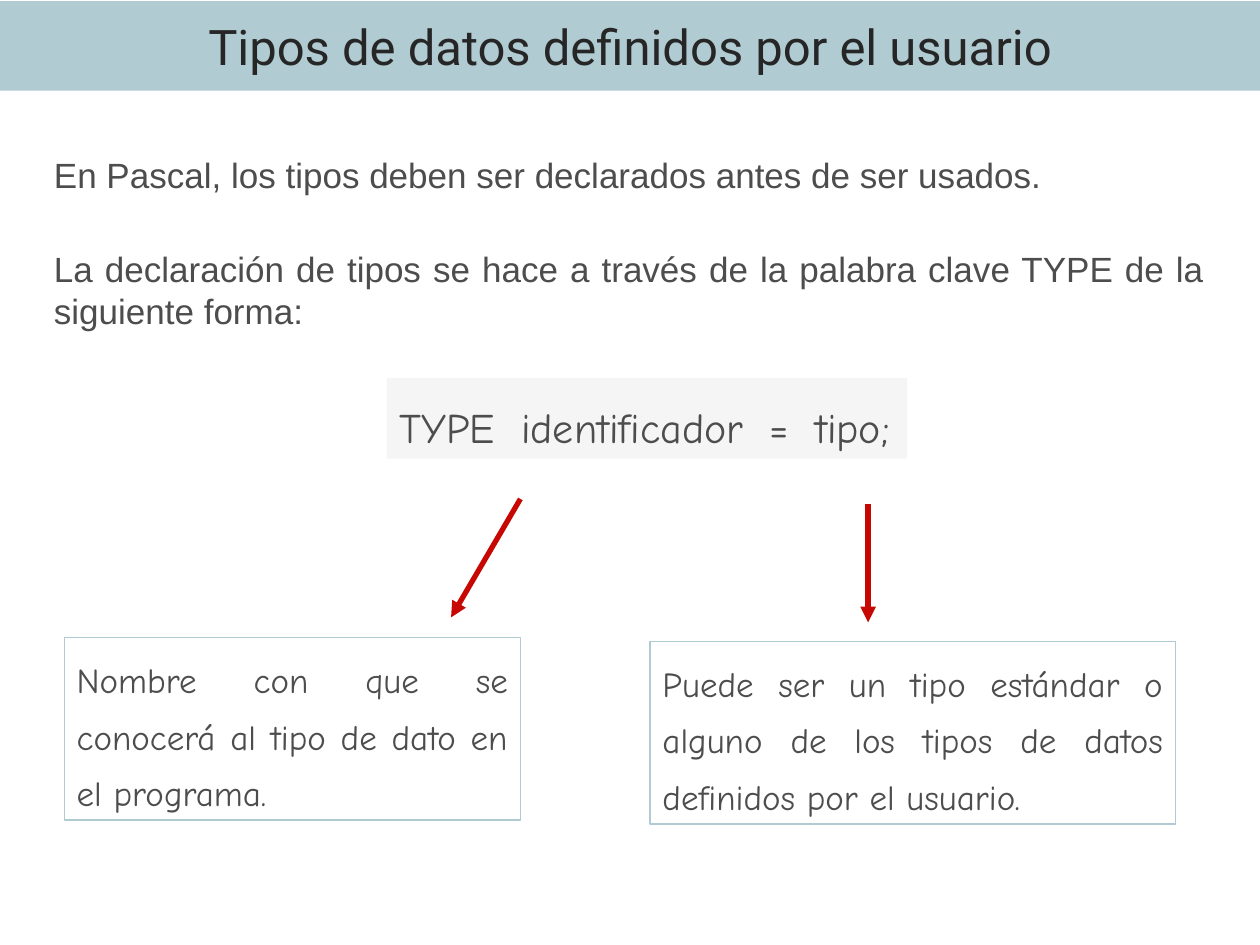
import pptx
import pptx.util
from pptx.dml.color import RGBColor
from pptx.enum.shapes import MSO_CONNECTOR, MSO_SHAPE
from pptx.enum.text import MSO_ANCHOR, MSO_AUTO_SIZE, PP_ALIGN
from pptx.oxml.ns import qn
from lxml import etree

WIDTH = pptx.util.Inches(10)
HEIGHT = pptx.util.Inches(7.5)

TEAL = RGBColor(0xB0, 0xCB, 0xD1)
PALE_GREY = RGBColor(0xF5, 0xF5, 0xF5)
WHITE = RGBColor(0xFF, 0xFF, 0xFF)
RED = RGBColor(0xC6, 0x07, 0x02)
BODY_GREY = RGBColor(0x4D, 0x4D, 0x4D)
TITLE_GREY = RGBColor(0x26, 0x26, 0x26)


def across(percent):
    return round(WIDTH * percent / 100)


def down(percent):
    return round(HEIGHT * percent / 100)


def place(left, top, width, height):
    """Turn percentages of the slide into a position and a size."""
    return across(left), down(top), across(width), down(height)


def add_span(para, text, font, size, color):
    span = para.add_run()
    span.text = text
    span.font.name = font
    span.font.size = pptx.util.Pt(size)
    span.font.color.rgb = color
    return span


def format_para(para, align, line_spacing=1.0, space_before=0):
    para.alignment = align
    para.line_spacing = line_spacing
    para.space_before = pptx.util.Pt(space_before)


def add_box(page, area, fill, border=None):
    box = page.shapes.add_shape(MSO_SHAPE.RECTANGLE, *place(*area))
    box.shadow.inherit = False
    box.fill.solid()
    box.fill.fore_color.rgb = fill
    if border is None:
        box.line.fill.background()
    else:
        box.line.color.rgb = border
        box.line.width = pptx.util.Pt(0.75)
    box.text_frame.word_wrap = True
    box.text_frame.vertical_anchor = MSO_ANCHOR.TOP
    return box


def add_title(page, text):
    frame = add_box(page, (0, 0.13, 100, 9.47), TEAL).text_frame
    frame.vertical_anchor = MSO_ANCHOR.MIDDLE
    para = frame.paragraphs[0]
    format_para(para, PP_ALIGN.CENTER)
    add_span(para, text, "Roboto", 28, TITLE_GREY)


def add_introduction(page, first, second):
    box = page.shapes.add_textbox(*place(3.3, 16.4, 93.3, 23.07))
    frame = box.text_frame
    frame.word_wrap = True
    opening, following = frame.paragraphs[0], frame.add_paragraph()
    format_para(opening, PP_ALIGN.JUSTIFY, 0.8, 5)
    format_para(following, PP_ALIGN.JUSTIFY, 1.0, 30)
    add_span(opening, first, "Arial", 20, BODY_GREY)
    add_span(following, second, "Arial", 20, BODY_GREY)


def add_syntax(page, words):
    """Show the declaration with widened spaces between its words."""
    frame = add_box(page, (30.7, 40, 41.3, 8.53), PALE_GREY).text_frame
    frame.word_wrap = False
    frame.auto_size = MSO_AUTO_SIZE.SHAPE_TO_FIT_TEXT
    para = frame.paragraphs[0]
    format_para(para, PP_ALIGN.LEFT, 1.35, 6)
    for index, word in enumerate(words):
        if index:
            gap = add_span(para, " ", "Comic Neue", 24, BODY_GREY)
            gap.font._element.set("spc", "700")
        add_span(para, word, "Comic Neue", 24, BODY_GREY)


def add_explanation(page, area, text):
    frame = add_box(page, area, WHITE, TEAL).text_frame
    frame.auto_size = MSO_AUTO_SIZE.SHAPE_TO_FIT_TEXT
    para = frame.paragraphs[0]
    format_para(para, PP_ALIGN.JUSTIFY, 1.35, 5)
    add_span(para, text, "Comic Neue", 20, BODY_GREY)


def add_arrow(page, start, end):
    arrow = page.shapes.add_connector(
        MSO_CONNECTOR.STRAIGHT,
        across(start[0]), down(start[1]), across(end[0]), down(end[1]))
    arrow.line.color.rgb = RED
    arrow.line.width = pptx.util.Pt(3)
    etree.SubElement(arrow.line._get_or_add_ln(), qn("a:tailEnd"), type="triangle")
    etree.SubElement(arrow._element.spPr, qn("a:effectLst"))


def main():
    deck = pptx.Presentation()
    deck.slide_width, deck.slide_height = WIDTH, HEIGHT
    page = deck.slides.add_slide(deck.slide_layouts[6])

    add_introduction(
        page,
        "En Pascal, los tipos deben ser declarados antes de ser usados.",
        "La declaración de tipos se hace a través de la palabra clave TYPE "
        "de la siguiente forma:")
    add_syntax(page, ["TYPE", "identificador", "=", "tipo;"])
    add_explanation(
        page, (5.1, 67.47, 36.2, 19.33),
        "Nombre con que se conocerá al tipo de dato en el programa.")
    add_arrow(page, (41.3, 52.8), (35.8, 65.33))
    add_explanation(
        page, (51.6, 67.87, 41.7, 19.33),
        "Puede ser un tipo estándar o alguno de los tipos de datos "
        "definidos por el usuario.")
    add_arrow(page, (68.9, 53.33), (68.9, 65.87))
    add_title(page, "Tipos de datos definidos por el usuario")
    deck.save("out.pptx")


if __name__ == "__main__":
    main()
